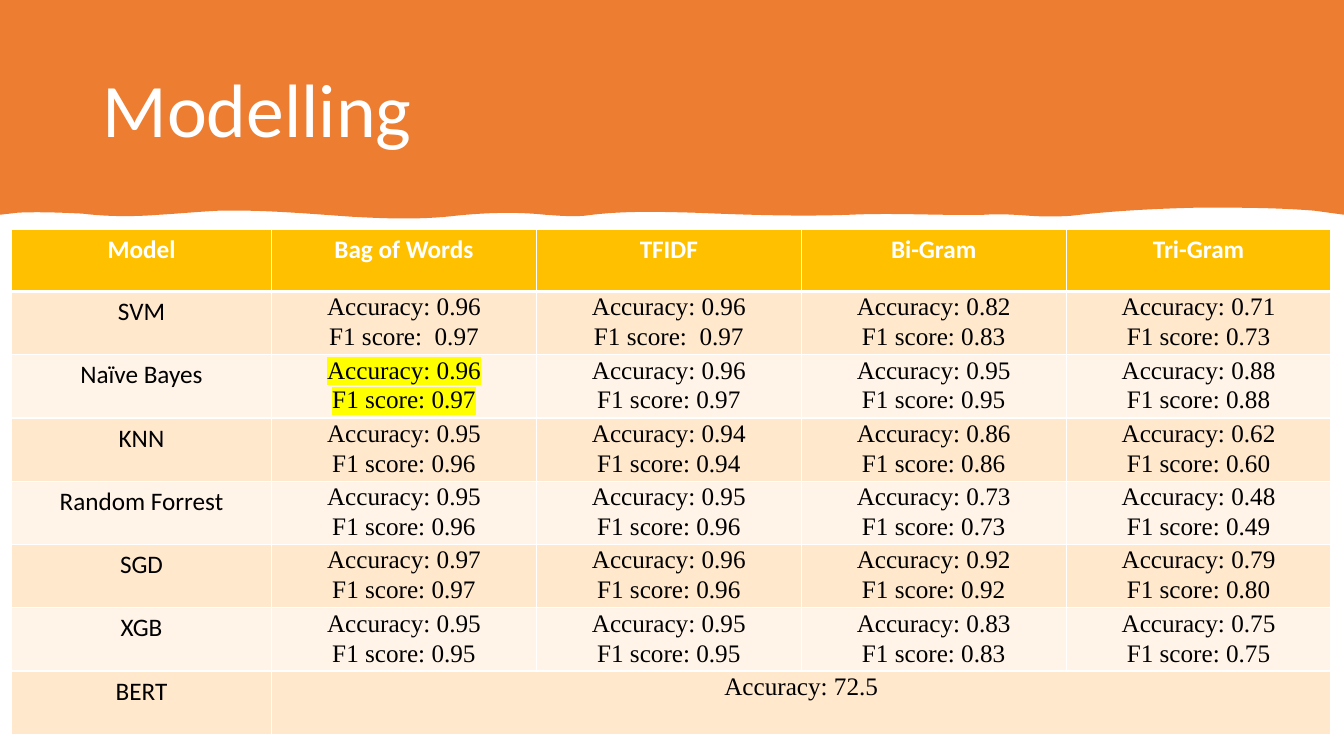
from dataclasses import dataclass

from lxml import etree
from pptx import Presentation
from pptx.dml.color import RGBColor
from pptx.enum.text import MSO_ANCHOR, PP_ALIGN
from pptx.oxml.ns import qn
from pptx.util import Pt

LEFT, CENTER = PP_ALIGN.LEFT, PP_ALIGN.CENTER
MIDDLE = MSO_ANCHOR.MIDDLE


@dataclass(frozen=True)
class Theme:
    band: str = "ED7D31"
    header: str = "FFC000"
    odd_row: str = "FFE8CC"
    even_row: str = "FFF4E7"
    white: str = "FFFFFF"
    black: str = "000000"
    marker: str = "FFFF00"
    label_font: str = "Calibri"
    score_font: str = "Times New Roman"
    title_size: int = 54
    table_size: int = 18


theme = Theme()


def write(para, text, font=theme.label_font, size=theme.table_size, color=theme.black,
          bold=False, align=CENTER, spacing=None, highlight=None):
    """Add one formatted span of text to a paragraph."""
    para.alignment = align
    para.line_spacing = spacing
    span = para.add_run()
    span.text = text
    span.font.size = Pt(size)
    span.font.bold = bold
    span.font.color.rgb = RGBColor.from_string(color)
    if highlight:
        mark = etree.SubElement(span.font._element, qn("a:highlight"))
        etree.SubElement(mark, qn("a:srgbClr"), val=highlight)
    span.font.name = font


def dress_cell(cell, fill, bottom_width):
    """Give a cell its fill and white borders."""
    properties = cell._tc.get_or_add_tcPr()
    for side, width in (("L", 1), ("R", 1), ("T", 1), ("B", bottom_width)):
        line = etree.SubElement(properties, qn(f"a:ln{side}"), w=str(Pt(width)))
        paint = etree.SubElement(line, qn("a:solidFill"))
        etree.SubElement(paint, qn("a:srgbClr"), val=theme.white)
    cell.fill.solid()
    cell.fill.fore_color.rgb = RGBColor.from_string(fill)


deck = Presentation()
deck.slide_width, deck.slide_height = Pt(960), Pt(540)
page = deck.slides.add_slide(deck.slide_layouts[5])

# Title
title = page.shapes.title
title.left, title.top, title.width, title.height = Pt(66), Pt(28.8), Pt(828), Pt(104.4)
title.text_frame.vertical_anchor = MIDDLE
title.text_frame.word_wrap = True
write(title.text_frame.paragraphs[0], "Modelling", size=theme.title_size,
      color=theme.white, align=LEFT, spacing=0.9)

# Orange band in tenths of a point: two control points and an end point per wave
corners = [(9600, 0), (9600, 1534), (9389, 1505)]
waves = [
    ((9115, 1483), (8842, 1483), (8568, 1483)),
    ((8266, 1490), (7956, 1505), (7654, 1541)),
    ((7553, 1548), (7452, 1548), (7351, 1541)),
    ((7250, 1534), (7142, 1526), (7034, 1534)),
    ((6718, 1541), (6394, 1519), (6070, 1534)),
    ((5695, 1548), (5321, 1534), (4946, 1519)),
    ((4687, 1512), (4435, 1505), (4176, 1541)),
    ((4082, 1548), (3990, 1541), (3895, 1534)),
    ((3686, 1512), (3470, 1519), (3254, 1541)),
    ((3010, 1570), (2765, 1562), (2513, 1548)),
    ((2196, 1526), (1879, 1498), (1562, 1505)),
    ((1418, 1512), (1274, 1526), (1138, 1534)),
    ((958, 1548), (770, 1548), (590, 1526)),
    ((439, 1519), (288, 1512), (130, 1519)),
]
builder = page.shapes.build_freeform(0, 0, scale=Pt(0.1))
builder.add_line_segments(corners + [wave[2] for wave in waves] + [(0, 1534)], close=True)
band = builder.convert_to_shape()
band.shadow.inherit = False
band.fill.solid()
band.fill.fore_color.rgb = RGBColor.from_string(theme.band)
band.line.fill.background()
title.element.addprevious(band.element)

# Bend the lower edge into curves
edges = list(band.element.iter(qn("a:lnTo")))[len(corners):]
for edge, wave in zip(edges, waves):
    edge.tag = qn("a:cubicBezTo")
    for position, (x, y) in enumerate(wave[:2]):
        edge.insert(position, etree.Element(qn("a:pt"), x=str(x), y=str(y)))

# Table contents: accuracy and F1 score for each kind of feature
headings = ["Model", "Bag of Words", "TFIDF", "Bi-Gram", "Tri-Gram"]
results = [
    ("SVM", [("0.96", " 0.97"), ("0.96", " 0.97"), ("0.82", "0.83"), ("0.71", "0.73")]),
    ("Naïve Bayes", [("0.96", "0.97"), ("0.96", "0.97"), ("0.95", "0.95"), ("0.88", "0.88")]),
    ("KNN", [("0.95", "0.96"), ("0.94", "0.94"), ("0.86", "0.86"), ("0.62", "0.60")]),
    ("Random Forrest", [("0.95", "0.96"), ("0.95", "0.96"), ("0.73", "0.73"), ("0.48", "0.49")]),
    ("SGD", [("0.97", "0.97"), ("0.96", "0.96"), ("0.92", "0.92"), ("0.79", "0.80")]),
    ("XGB", [("0.95", "0.95"), ("0.95", "0.95"), ("0.83", "0.83"), ("0.75", "0.75")]),
    ("BERT", [("72.5",)]),
]
best = ("Naïve Bayes", "Bag of Words")

# Table frame
row_count, column_count = len(results) + 1, len(headings)
table = page.shapes.add_table(row_count, column_count, Pt(8.2), Pt(163.6),
                              Pt(942.6), Pt(361)).table
for index, column in enumerate(table.columns):
    column.width = Pt(189.2 if index else 185.8)
for index, row in enumerate(table.rows):
    row.height = Pt(45.2 if index else 44.6)
    fill = theme.odd_row if index % 2 else theme.even_row
    for cell in row.cells:
        dress_cell(cell, fill if index else theme.header, 1 if index else 3)
table.cell(row_count - 1, 1).merge(table.cell(row_count - 1, column_count - 1))

# Table text
for index, heading in enumerate(headings):
    write(table.cell(0, index).text_frame.paragraphs[0], heading,
          color=theme.white, bold=True)
for row_index, (model, scores) in enumerate(results, start=1):
    write(table.cell(row_index, 0).text_frame.paragraphs[0], model)
    for column_index, values in enumerate(scores, start=1):
        cell = table.cell(row_index, column_index)
        cell.margin_left = cell.margin_right = Pt(5)
        cell.margin_top = cell.margin_bottom = Pt(0)
        marker = theme.marker if (model, headings[column_index]) == best else None
        for line_index, (measure, value) in enumerate(zip(("Accuracy", "F1 score"), values)):
            frame = cell.text_frame
            para = frame.add_paragraph() if line_index else frame.paragraphs[0]
            write(para, f"{measure}: {value}", font=theme.score_font,
                  spacing=1.07, highlight=marker)

deck.save("out.pptx")
